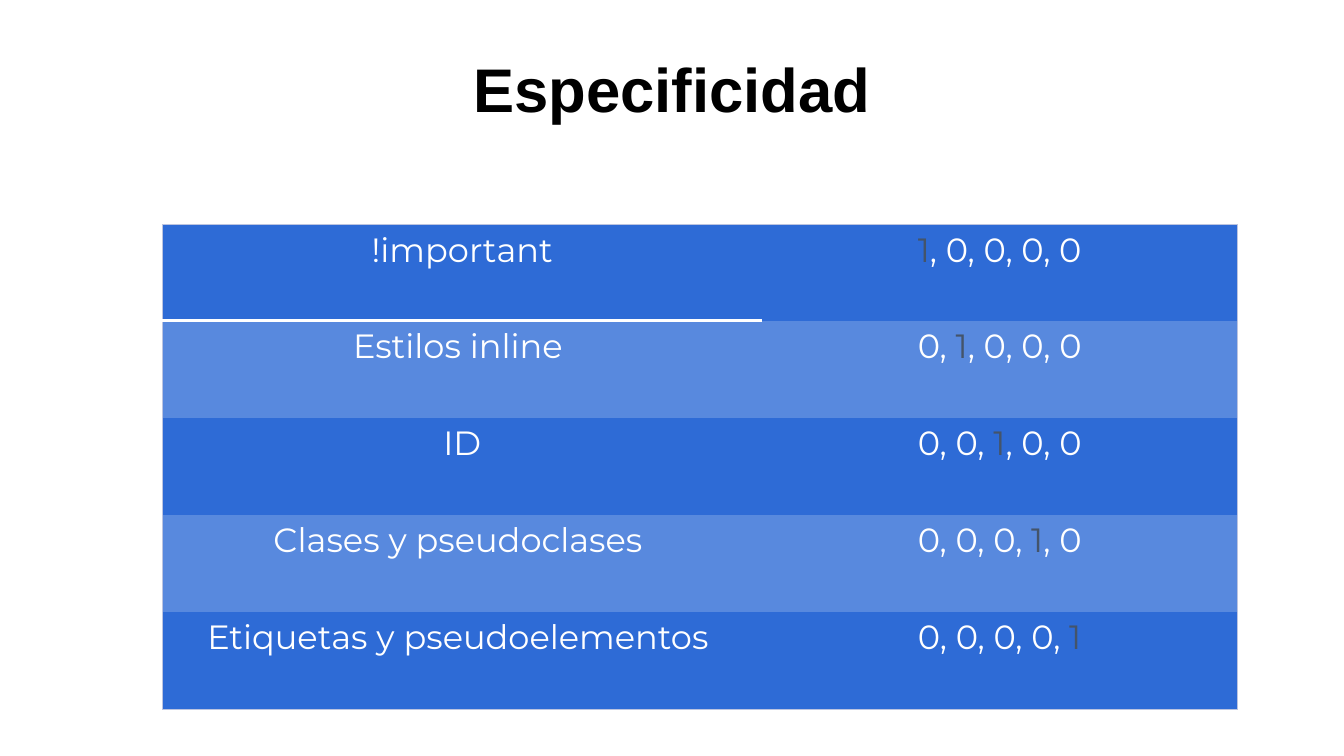
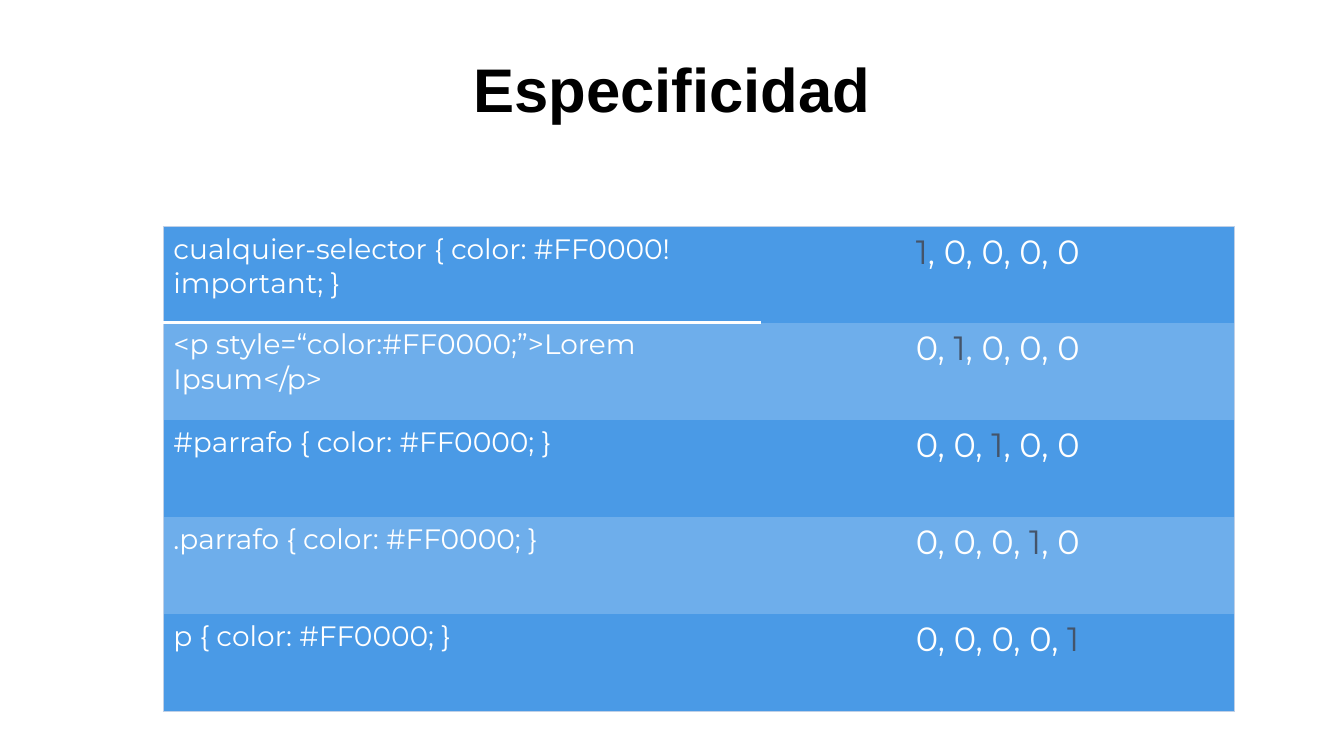
"""Build two slides that explain CSS specificity."""
from dataclasses import dataclass

from lxml import etree
from pptx import Presentation
from pptx import util as u
from pptx.dml.color import RGBColor
from pptx.enum import text
from pptx.oxml.ns import qn

EMU_PER_PX = 9144
NO_STYLE = "{2D5ABB26-0587-4C30-8999-92F81FD0307C}"
CENTER, LEFT = text.PP_ALIGN.CENTER, text.PP_ALIGN.LEFT


@dataclass(frozen=True)
class Theme:
    """Colours, fonts and type sizes shared by the slides."""
    title_font: str = "Arial"
    body_font: str = "Montserrat Light"
    title_size: int = 44
    label_size: int = 24
    code_size: int = 20
    title: str = "000000"
    light: str = "FFFFFF"
    accent: str = "44546A"


@dataclass(frozen=True)
class Palette:
    """Row and outline colours of one table."""
    rows: tuple
    outline: str


THEME = Theme(body_font="Montserrat")
ROYAL = Palette(("2E6BD6", "5889DE"), "BCC4E0")
SKY = Palette(("4A9AE6", "6EAEEB"), "BFD0E7")
SLIDE_SIZE = (1333, 750)
FIRST_ROW = 95

LABELS = ["!important", "Estilos inline ", "ID",
          "Clases y pseudoclases ", "Etiquetas y pseudoelementos "]
EXAMPLES = ["cualquier-selector { color: #FF0000!important; }",
            "<p style=“color:#FF0000;”>Lorem Ipsum</p>",
            "#parrafo { color: #FF0000; }",
            ".parrafo { color: #FF0000; }",
            "p { color: #FF0000; }"]


def px(length):
    """Turn pixels into EMU."""
    return u.Emu(length * EMU_PER_PX)


def style_run(run, font, size, color, bold=False):
    """Format one run."""
    run.font.name = font
    run.font.size = u.Pt(size)
    run.font.bold = bold
    run.font.color.rgb = RGBColor.from_string(color)


def add_title(slide, wording):
    """Add the centred title across the slide."""
    box = slide.shapes.add_textbox(px(0), px(46), px(SLIDE_SIZE[0]), px(84))
    frame = box.text_frame
    frame.word_wrap = True
    frame.auto_size = text.MSO_AUTO_SIZE.SHAPE_TO_FIT_TEXT
    frame.text = wording
    para = frame.paragraphs[0]
    para.alignment = CENTER
    style_run(para.runs[0], THEME.title_font, THEME.title_size, THEME.title, True)


def set_borders(cell, borders):
    """Draw the given sides of a cell and clear the others."""
    properties = cell._tc.get_or_add_tcPr()
    for side in "LRTB":
        color, width = borders.get(side, (None, 0))
        line = etree.SubElement(properties, qn(f"a:ln{side}"), w=str(u.Pt(width)))
        if color:
            fill = etree.SubElement(line, qn("a:solidFill"))
            etree.SubElement(fill, qn("a:srgbClr"), val=color)
        else:
            etree.SubElement(line, qn("a:noFill"))


def cell_borders(row, column, last_row, outline):
    """Choose the outer outline and the rule below the first label."""
    edge = (outline, 0.75)
    borders = {"R" if column else "L": edge}
    if row == 0:
        borders["T"] = edge
    if row == last_row:
        borders["B"] = edge
    if column == 0 and row == 0:
        borders["B"] = (THEME.light, 3)
    if column == 0 and row == 1:
        borders["T"] = (THEME.light, 3)
    return borders


def write_label(cell, wording, size, alignment):
    """Write a label or code example."""
    cell.text_frame.text = wording
    para = cell.text_frame.paragraphs[0]
    para.alignment = alignment
    style_run(para.runs[0], THEME.body_font, size, THEME.light)


def write_score(cell, position, count):
    """Write zeros with an accented one at the given position."""
    para = cell.text_frame.paragraphs[0]
    para.alignment = CENTER
    parts = [("0, " * position, THEME.light), ("1", THEME.accent),
             (", 0" * (count - position - 1), THEME.light)]
    for wording, color in parts:
        if wording:
            run = para.add_run()
            run.text = wording
            style_run(run, THEME.body_font, THEME.label_size, color)


def add_score_table(slide, origin, widths, labels, palette, size, alignment):
    """Add a table that pairs each label with its specificity."""
    count, height = len(labels), 481
    frame = slide.shapes.add_table(count, 2, px(origin[0]), px(origin[1]),
                                   px(sum(widths)), px(height))
    table = frame.table
    table.first_row = table.horz_banding = False
    table._tbl.tblPr.find(qn("a:tableStyleId")).text = NO_STYLE
    for column, width in zip(table.columns, widths):
        column.width = px(width)
    for row, label in enumerate(labels):
        table.rows[row].height = (px(height - FIRST_ROW) // (count - 1)
                                  if row else px(FIRST_ROW))
        for column, cell in enumerate(table.rows[row].cells):
            set_borders(cell, cell_borders(row, column, count - 1, palette.outline))
            cell.fill.solid()
            cell.fill.fore_color.rgb = RGBColor.from_string(palette.rows[row % 2])
        write_label(table.cell(row, 0), label, size, alignment)
        write_score(table.cell(row, 1), row, count)


def main():
    """Build and save the deck."""
    deck = Presentation()
    deck.slide_width, deck.slide_height = map(px, SLIDE_SIZE)
    tables = [
        ((161, 223), (595, 471), LABELS, ROYAL, THEME.label_size, CENTER),
        ((162, 225), (593, 469), EXAMPLES, SKY, THEME.code_size, LEFT),
    ]
    for content in tables:
        page = deck.slides.add_slide(deck.slide_layouts[6])
        add_title(page, "Especificidad")
        add_score_table(page, *content)
    deck.save("out.pptx")


if __name__ == "__main__":
    main()
